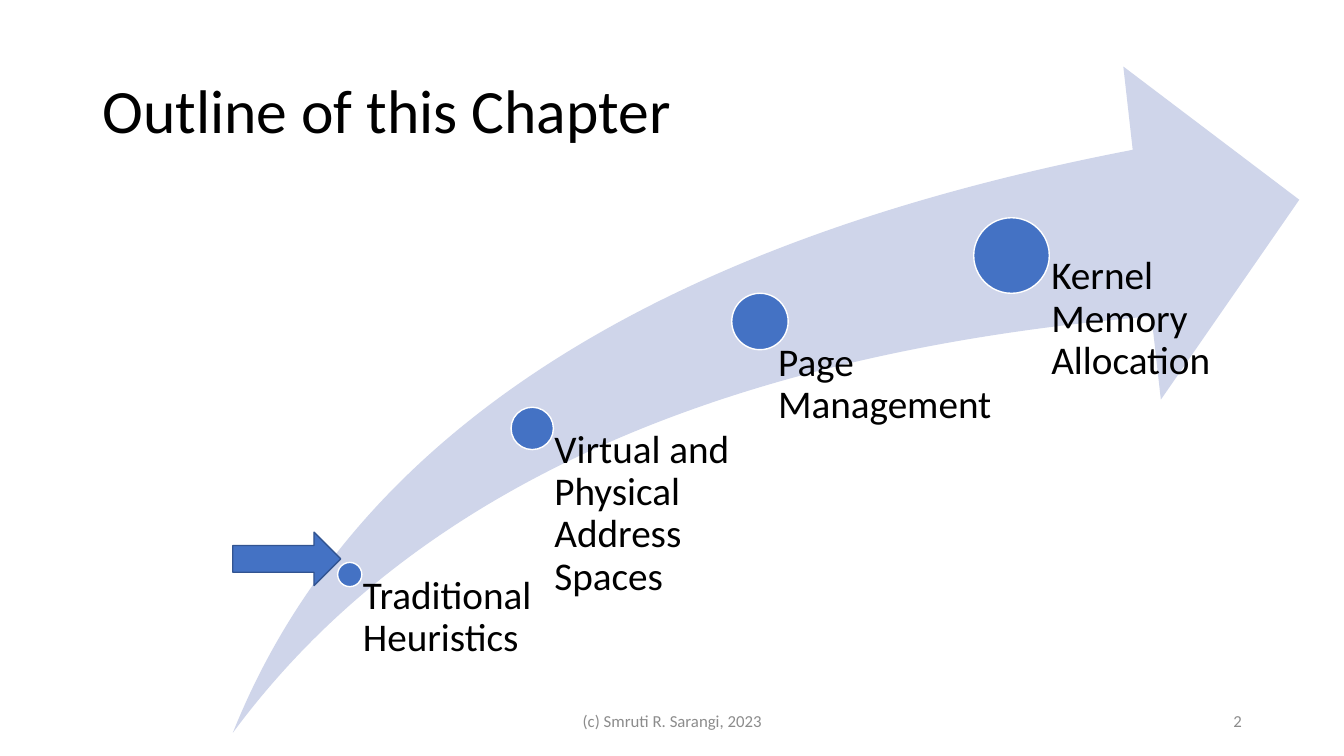
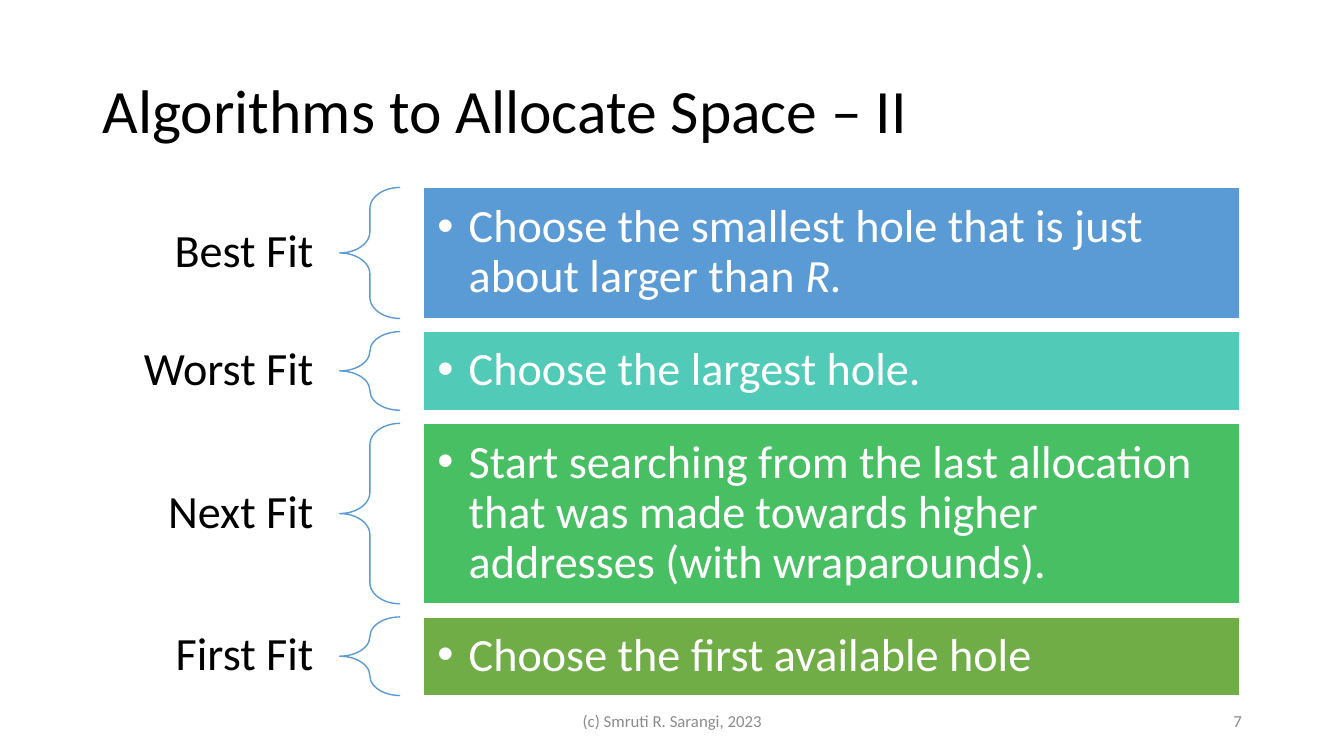
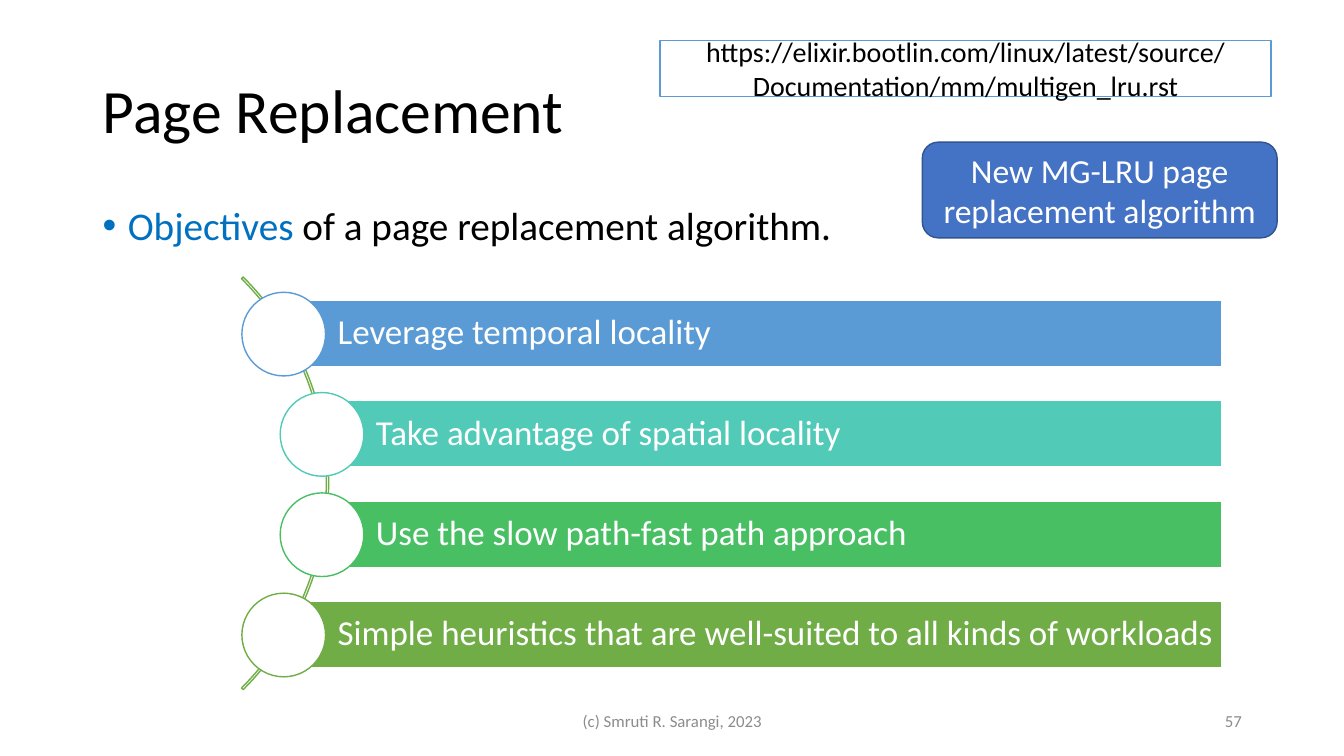
from dataclasses import dataclass

from lxml.etree import SubElement
from pptx import Presentation
from pptx.dml.color import RGBColor
from pptx.enum.shapes import MSO_SHAPE
from pptx.enum.text import MSO_ANCHOR, PP_ALIGN
from pptx.oxml.ns import qn
from pptx.util import Pt

SCALE = 9144  # EMU per px, 100 px to the inch


@dataclass(frozen=True)
class Theme:
    font: str = "Calibri"
    black: str = "000000"
    white: str = "FFFFFF"
    gray: str = "8C8C8C"
    blue: str = "4472C4"
    navy: str = "325491"
    pale: str = "CFD5EA"
    accent: str = "0070C0"
    hues: tuple = ("5B9BD5", "52CAB8", "49BF64", "70AD47")
    title: int = 44
    fit: int = 33
    body: int = 28
    bar: int = 25
    note: int = 24
    link: int = 20
    foot: int = 12


T = Theme()
LEFT, MID, RIGHT = PP_ALIGN.LEFT, PP_ALIGN.CENTER, PP_ALIGN.RIGHT


def px(num):
    return round(num * SCALE)


def put(obj, **vals):
    for key, val in vals.items():
        setattr(obj, key, val)


class Deck:
    def __init__(self):
        self.prs = Presentation()
        put(self.prs, slide_width=px(1333.33), slide_height=px(750))
        self.slide = None

    def page(self, title, num):
        self.slide = self.prs.slides.add_slide(self.prs.slide_layouts[6])
        self.text((92, 40, 1150, 145), title, T.title, lead=0.9)
        foot = dict(size=T.foot, color=T.gray)
        self.text((442, 695, 450, 40), "(c) Smruti R. Sarangi, 2023", align=MID, **foot)
        self.text((942, 695, 300, 40), str(num), align=RIGHT, **foot)

    def shape(self, kind, box, fill=None, line=None, adj=()):
        item = self.slide.shapes.add_shape(kind, *map(px, box))
        item.shadow.inherit = False
        for i, val in enumerate(adj):
            item.adjustments[i] = val
        if fill:
            item.fill.solid()
            item.fill.fore_color.rgb = RGBColor.from_string(fill)
        else:
            item.fill.background()
        if line:
            item.line.color.rgb = RGBColor.from_string(line)
            item.line.width = Pt(1)
        else:
            item.line.fill.background()
        return item

    def text(self, box, words, size, **style):
        item = self.slide.shapes.add_textbox(*map(px, box))
        self.label(item, words, size, **style)

    def label(self, item, words, size, color=T.black, align=LEFT, lead=1.0,
              inset=(10, 5, 10, 5), anchor=MSO_ANCHOR.MIDDLE, bullet=0):
        """Fill item with one paragraph; words is a string or (string, font values) pairs."""
        frame = item.text_frame
        sides = ("margin_left", "margin_top", "margin_right", "margin_bottom")
        put(frame, word_wrap=True, vertical_anchor=anchor,
            **dict(zip(sides, map(px, inset))))
        para = frame.paragraphs[0]
        put(para, alignment=align, line_spacing=lead)
        if bullet:
            self.bullet(para, bullet)
        if isinstance(words, str):
            words = [(words, {})]
        for part, look in words:
            look = dict(look)
            run = para.add_run()
            run.text = part
            run.font.color.rgb = RGBColor.from_string(look.pop("color", color))
            put(run.font, name=T.font, size=Pt(size), **look)

    def bullet(self, para, width):
        props = para._p.get_or_add_pPr()
        props.set("marL", str(px(width)))
        props.set("indent", str(-px(width)))
        SubElement(props, qn("a:buFont")).set("typeface", "Arial")
        SubElement(props, qn("a:buChar")).set("char", "•")


def outline(deck):
    deck.page("Outline of this Chapter", 2)
    deck.shape(MSO_SHAPE.SWOOSH_ARROW, (231, 66, 1058, 661), T.pale, adj=(0.25, 0.25))
    stops = (
        ((335, 558, 24), (347, 571, 181, 157), 13, "Traditional Heuristics"),
        ((507, 404, 42), (528, 426, 222, 302), 22, "Virtual and Physical Address Spaces"),
        ((726, 291, 56), (742, 340, 260, 340), 30, "Page Management"),
        ((966, 216, 75), (1003, 254, 222, 474), 40, "Kernel Memory Allocation"),
    )
    for (x, y, dot), box, pad, words in stops:
        deck.shape(MSO_SHAPE.OVAL, (x, y, dot, dot), T.blue, T.white)
        deck.text(box, words, T.body, lead=0.9, inset=(pad, 0, 0, 0),
                  anchor=MSO_ANCHOR.TOP)
    deck.shape(MSO_SHAPE.RIGHT_ARROW, (231, 528, 107, 53), T.blue, T.navy)


def fits(deck):
    deck.page("Algorithms to Allocate Space – II", 7)
    rows = (
        ("Best Fit", 130, [("Choose the smallest hole that is just about larger than ", {}),
                           ("R.", {"italic": True})]),
        ("Worst Fit", 78, "Choose the largest hole."),
        ("Next Fit", 179, "Start searching from the last allocation that was made "
                          "towards higher addresses (with wraparounds)."),
        ("First Fit", 78, "Choose the first available hole"),
    )
    y, gap, tall = 186, 13, 71
    for (name, high, words), hue in zip(rows, T.hues):
        deck.text((39, y + (high - tall) // 2, 298, tall), name, T.fit,
                  align=RIGHT, lead=0.9, inset=(26, 9, 26, 9))
        deck.shape(MSO_SHAPE.LEFT_BRACE, (337, y, 60, high), line=T.hues[0], adj=(0.35, 0.5))
        bar = deck.shape(MSO_SHAPE.RECTANGLE, (420, y, 810, high), hue, T.white)
        deck.label(bar, words, T.fit, T.white, lead=0.9, inset=(14,) * 4, bullet=31)
        y += high + gap


def goals(deck):
    deck.page("Page Replacement", 57)
    deck.text((92, 200, 1150, 59),
              [("Objectives", {"color": T.accent}), (" of a page replacement algorithm.", {})],
              T.body, lead=0.9, anchor=MSO_ANCHOR.TOP, bullet=25)
    link = deck.shape(MSO_SHAPE.RECTANGLE, (655, 40, 606, 56), T.white, T.hues[0])
    deck.label(link, "https://elixir.bootlin.com/linux/latest/source/"
                     "Documentation/mm/multigen_lru.rst", T.link, align=MID)
    deck.shape(MSO_SHAPE.BLOCK_ARC, (-253, 190, 579, 579), line=T.hues[3],
               adj=(189, 27, 0.004))
    rows = (
        (282, "Leverage temporal locality"),
        (320, "Take advantage of spatial locality"),
        (320, "Use the slow path-fast path approach"),
        (282, "Simple heuristics that are well-suited to all kinds of workloads"),
    )
    end, top, step, dot = 1212, 298, 99.5, 83
    for i, ((x, words), hue) in enumerate(zip(rows, T.hues)):
        y = top + i * step
        bar = deck.shape(MSO_SHAPE.RECTANGLE, (x, y, end - x, 66), hue, T.white)
        deck.label(bar, words, T.bar, T.white, lead=0.9, inset=(53, 7, 7, 7))
        deck.shape(MSO_SHAPE.OVAL, (x - 42, y - 8, dot, dot), T.white, hue)
    note = deck.shape(MSO_SHAPE.ROUNDED_RECTANGLE, (915, 141, 352, 95), T.blue, T.navy)
    deck.label(note, "New MG-LRU page replacement algorithm", T.note, T.white, align=MID)


def main():
    deck = Deck()
    for build in (outline, fits, goals):
        build(deck)
    deck.prs.save("out.pptx")


if __name__ == "__main__":
    main()
